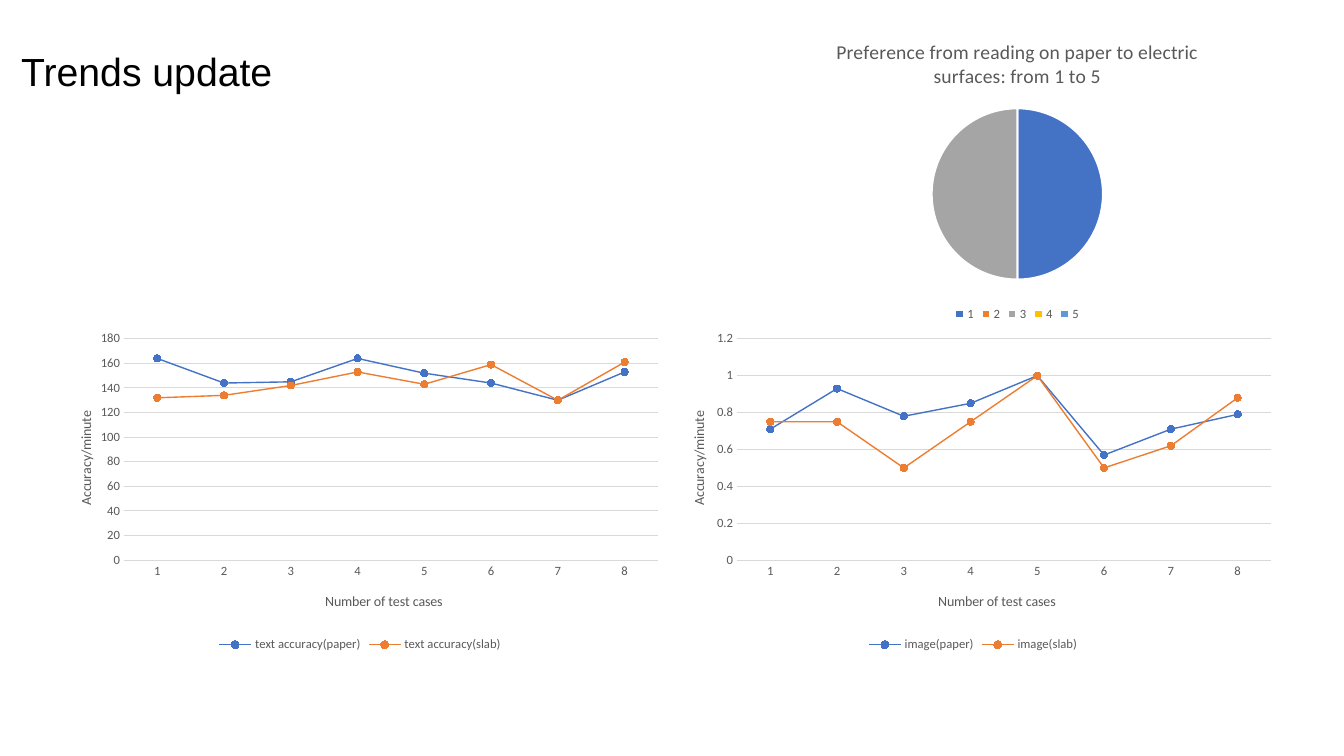
from lxml import etree
from pptx import Presentation
from pptx import util as u
from pptx.chart.data import CategoryChartData
from pptx.dml.color import RGBColor
from pptx.enum import chart as ch, text
from pptx.oxml.ns import qn

COLORS = {"title": "000000", "label": "595959", "grid": "D9D9D9", "edge": "FFFFFF",
          "blue": "4472C4", "orange": "ED7D31", "gray": "A5A5A5",
          "yellow": "FFC000", "sky": "5B9BD5"}
LINE_COLORS = ("blue", "orange")
SLICE_COLORS = ("blue", "orange", "gray", "yellow", "sky")
CHART_FONT = "Calibri"
LINE_CHART_TOP = 3.23
LINE_CHART_SIZE = (6.16, 3.28)


def rgb(name):
    """Return the named colour."""
    return RGBColor.from_string(COLORS[name])


def set_font(font, size, color="label", name=CHART_FONT):
    """Format a font as regular text."""
    font.name, font.size, font.bold = name, u.Pt(size), False
    font.color.rgb = rgb(color)


def set_layout(parent, position, index, **fractions):
    """Place a chart part by fractions of the chart's size."""
    for old in parent.findall(qn("c:layout")):
        parent.remove(old)
    layout = etree.Element(qn("c:layout"))
    manual = etree.SubElement(layout, qn("c:manualLayout"))
    if position == "inner":
        etree.SubElement(manual, qn("c:layoutTarget")).set("val", "inner")
    for key in ("xMode", "yMode"):
        etree.SubElement(manual, qn("c:" + key)).set("val", "edge")
    for key, value in fractions.items():
        etree.SubElement(manual, qn("c:" + key)).set("val", str(value))
    parent.insert(index, layout)


def set_plot_area(chart, x, y, w, h):
    """Place the inner plot area of a chart."""
    plot_area = chart.element.find(".//" + qn("c:plotArea"))
    set_layout(plot_area, "inner", 0, x=x, y=y, w=w, h=h)


def add_title(slide, words):
    """Fill and place the slide title."""
    title = slide.shapes.title
    title.left, title.top = u.Inches(0.11), u.Inches(0.42)
    title.width, title.height = u.Inches(7.73), u.Inches(0.69)
    frame = title.text_frame
    frame.text = words
    frame.word_wrap = True
    frame.auto_size = text.MSO_AUTO_SIZE.NONE
    frame.vertical_anchor = text.MSO_ANCHOR.TOP
    frame.margin_left = frame.margin_right = u.Inches(0.1)
    frame.margin_top = frame.margin_bottom = u.Inches(0.1)
    paragraph = frame.paragraphs[0]
    paragraph.alignment = text.PP_ALIGN.LEFT
    paragraph.line_spacing = 0.9
    set_font(paragraph.font, 28, "title", "Arial")


def add_chart(slide, kind, box, categories, series):
    """Add a chart with a legend at the bottom and return it."""
    data = CategoryChartData()
    data.categories = categories
    for name, values in series.items():
        data.add_series(name, values)
    frame = slide.shapes.add_chart(kind, *map(u.Inches, box), data)
    chart = frame.chart
    set_font(chart.font, 10, "title")
    chart.has_title = False
    chart.has_legend = True
    chart.legend.position = ch.XL_LEGEND_POSITION.BOTTOM
    chart.legend.include_in_layout = False
    set_font(chart.legend.font, 9)
    chart.plots[0].vary_by_categories = kind == ch.XL_CHART_TYPE.PIE
    return chart


def format_axis(axis, words, x, y):
    """Format an axis and place its title."""
    axis.major_tick_mark = axis.minor_tick_mark = ch.XL_TICK_MARK.NONE
    set_font(axis.tick_labels.font, 9)
    axis_title = axis.axis_title
    axis_title.text_frame.text = words
    set_font(axis_title.text_frame.paragraphs[0].font, 10)
    title = axis.axis_title.text_frame._txBody.getparent().getparent()
    set_layout(title, "outer", 1, x=x, y=y)


def add_line_chart(slide, left, maximum, step, number_format, series):
    """Add a line chart of accuracy over the eight test cases."""
    chart = add_chart(slide, ch.XL_CHART_TYPE.LINE_MARKERS,
                      (left, LINE_CHART_TOP, *LINE_CHART_SIZE),
                      [str(case) for case in range(1, 9)], series)
    set_plot_area(chart, 0.12, 0.04, 0.86, 0.67)
    format_axis(chart.category_axis, "Number of test cases", 0.44, 0.8)
    format_axis(chart.value_axis, "Accuracy/minute", 0.04, 0.25)
    grid = chart.value_axis.major_gridlines.format.line
    for line in (chart.category_axis.format.line, grid):
        line.color.rgb, line.width = rgb("grid"), u.Pt(0.75)
    axis = chart.value_axis
    axis.format.line.fill.background()
    axis.minimum_scale, axis.maximum_scale, axis.major_unit = 0, maximum, step
    axis.tick_labels.number_format = number_format
    axis.tick_labels.number_format_is_linked = False
    for line_series, color in zip(chart.plots[0].series, LINE_COLORS):
        line_series.smooth = False
        line_series.format.line.color.rgb = rgb(color)
        line_series.format.line.width = u.Pt(1)
        marker = line_series.marker
        marker.style, marker.size = ch.XL_MARKER_STYLE.CIRCLE, 5
        marker.format.fill.solid()
        marker.format.fill.fore_color.rgb = rgb(color)
        marker.format.line.color.rgb = rgb(color)


def add_preference_pie(slide):
    """Add the pie chart of reading preferences."""
    chart = add_chart(slide, ch.XL_CHART_TYPE.PIE, (7.59, 0.23, 5, 3),
                      list("12345"), {"Series 1": (50, 0, 50, 0, 0)})
    chart.has_title = True
    frame = chart.chart_title.text_frame
    frame.text = "Preference from reading on paper to electric surfaces: from 1 to 5"
    set_font(frame.paragraphs[0].font, 14)
    set_plot_area(chart, 0.33, 0.28, 0.34, 0.57)
    for index, color in enumerate(SLICE_COLORS):
        slice_format = chart.plots[0].series[0].points[index].format
        slice_format.fill.solid()
        slice_format.fill.fore_color.rgb = rgb(color)
        slice_format.line.color.rgb = rgb("edge")
        slice_format.line.width = u.Pt(1.5)


def main():
    """Build and save the slide."""
    presentation = Presentation()
    presentation.slide_width = u.Inches(13.33)
    presentation.slide_height = u.Inches(7.5)
    slide = presentation.slides.add_slide(presentation.slide_layouts[5])
    add_title(slide, "Trends update")
    add_line_chart(slide, 0.49, 180, 20, "0", {
        "text accuracy(paper)": (164, 144, 145, 164, 152, 144, 130, 153),
        "text accuracy(slab)": (132, 134, 142, 153, 143, 159, 130, 161)})
    add_line_chart(slide, 6.57, 1.2, 0.2, "General", {
        "image(paper)": (0.71, 0.93, 0.78, 0.85, 1, 0.57, 0.71, 0.79),
        "image(slab)": (0.75, 0.75, 0.5, 0.75, 1, 0.5, 0.62, 0.88)})
    add_preference_pie(slide)
    presentation.save("out.pptx")


main()
